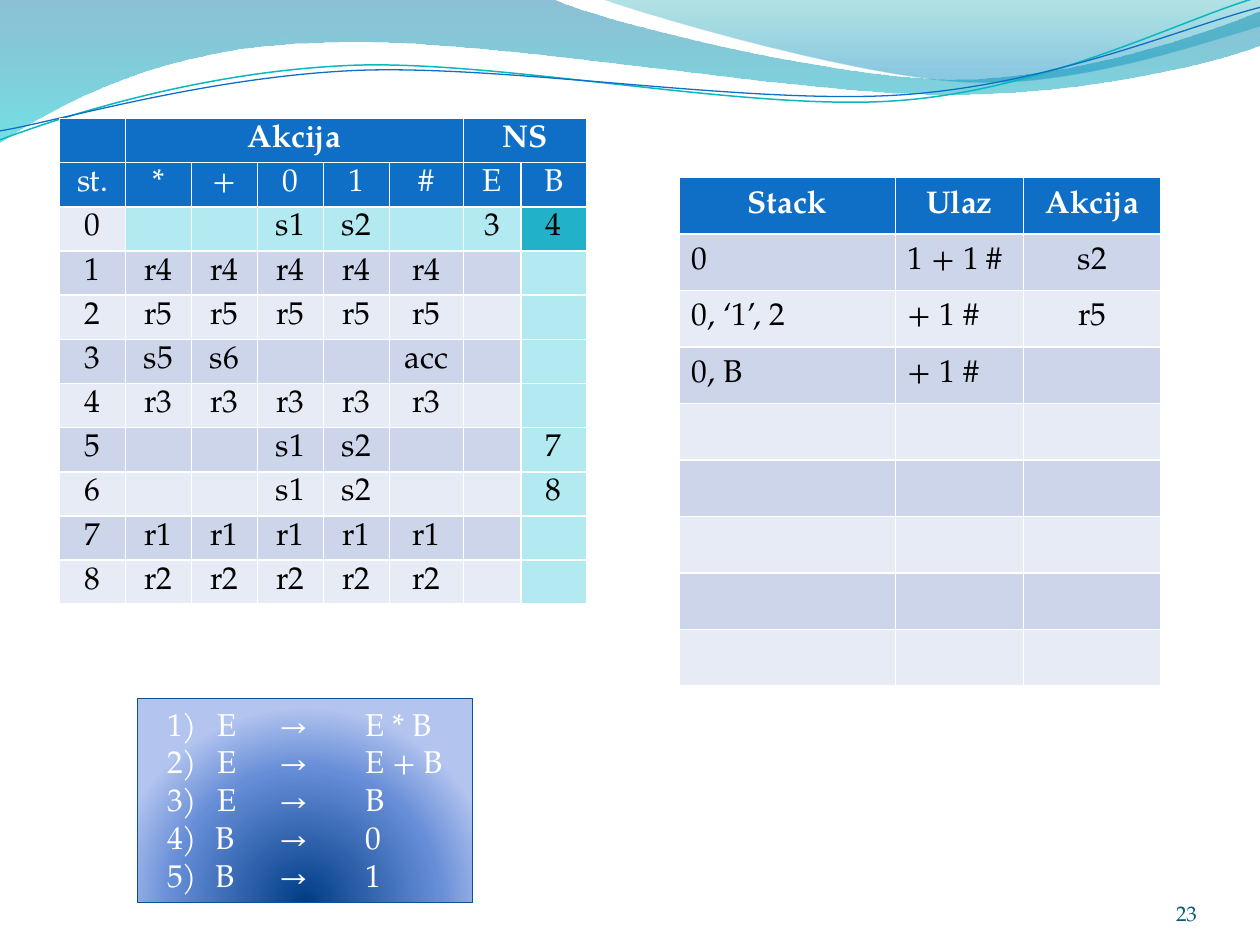
"""Build the parsing-table slide with its stack trace and grammar."""
from lxml.etree import SubElement
from pptx import Presentation
from pptx.dml.color import RGBColor
from pptx.enum.shapes import MSO_SHAPE
from pptx.enum.text import MSO_ANCHOR, PP_ALIGN
from pptx.oxml.ns import qn
from pptx.util import Cm, Pt

FONT = "TeX Gyre Pagella"
BLUE, WHITE, BLACK = "0F6FC6", "FFFFFF", "000000"
PALE, GREY, CYAN, TEAL = "E7EBF5", "CCD5EA", "B3EAF2", "21B2C9"

PARSE = [
    ["", "Akcija", "", "", "", "", "NS", ""],
    ["st.", "*", "+", "0", "1", "#", "E", "B"],
    ["0", "", "", "s1", "s2", "", "3", "4"],
    ["1"] + ["r4"] * 5 + ["", ""],
    ["2"] + ["r5"] * 5 + ["", ""],
    ["3", "s5", "s6", "", "", "acc", "", ""],
    ["4"] + ["r3"] * 5 + ["", ""],
    ["5", "", "", "s1", "s2", "", "", "7"],
    ["6", "", "", "s1", "s2", "", "", "8"],
    ["7"] + ["r1"] * 5 + ["", ""],
    ["8"] + ["r2"] * 5 + ["", ""],
]
TRACE = [
    ["Stack", "Ulaz", "Akcija"],
    ["0", "1 + 1 #", "s2"],
    ["0, ‘1’, 2", "+ 1 #", "r5"],
    ["0, B", "+ 1 #", ""],
] + [[""] * 3 for _ in range(5)]
TYPED = ["1) \tE\t→\tE * B", "2) \tE\t→ \tE + B", "3) \tE\t→ \tB"]
LISTED = ["B\t→\t0", "B\t→\t1"]
TABS = [1.02, 2.26, 3.99]

WAVES = [
    ([[(0, 0)], [(11.18, 0)],
      [(12.09, 0.43), (16.87, 1.6), (19.25, 1.6)],
      [(21.67, 1.6), (24.33, 0.66), (25.4, 0.23)], [(25.4, 0.91)],
      [(24.97, 1.12), (22.1, 1.93), (18.95, 1.9)],
      [(15.8, 1.9), (9.7, 0.71), (6.53, 0.86)],
      [(3.28, 0.91), (1.17, 2.11), (0, 2.87)], [(0, 0)]],
     [(0, "0074A1", 45), (100, "00C6CF", 55)]),
    ([[(12.17, 0)],
      [(12.93, 0.28), (17.32, 1.57), (19.53, 1.65)],
      [(21.74, 1.75), (24.41, 0.81), (25.4, 0.53)], [(25.4, 0)], [(12.17, 0)]],
     [(0, "00A1A9", 30), (80, "008BBF", 45)]),
]
LINES = [
    ([[(0, 2.82)], [(1.22, 2.36), (4.01, 1.45), (7.04, 1.32)],
      [(10.03, 1.19), (15.06, 2.26), (18.11, 2.03)],
      [(21.16, 1.8), (23.83, 0.38), (25.35, -0.05)]], "0AB8BF", 0.85),
    ([[(0, 2.64)], [(1.19, 2.44), (4.17, 1.55), (7.19, 1.42)],
      [(10.24, 1.3), (15.16, 2.13), (18.21, 1.91)],
      [(21.23, 1.7), (23.9, 0.53), (25.4, 0.15)]], BLUE, 0.75),
]


def rgb(hue):
    """Turn a hex string into a colour."""
    return RGBColor.from_string(hue)


def tag(base, name, **attrs):
    """Add a drawing element below another."""
    return SubElement(base, qn("a:" + name), {k: str(v) for k, v in attrs.items()})


def curve(slide, parts, close):
    """Draw straight and cubic parts given in centimetres."""
    dots = [(Cm(x), Cm(y)) for part in parts for x, y in part]
    pen = slide.shapes.build_freeform(*dots[0])
    pen.add_line_segments(dots[1:], close=close)
    shape = pen.convert_to_shape()
    shape.shadow.inherit = False
    legs = iter(list(shape._element.iter(qn("a:lnTo"))))
    for part in parts[1:]:
        group = [next(legs) for _ in part]
        if len(part) == 3:
            bend = group[0].makeelement(qn("a:cubicBezTo"))
            group[0].addprevious(bend)
            for leg in group:
                bend.append(leg[0])
                leg.getparent().remove(leg)
    return shape


def blend(shape, stops, focus=None):
    """Fill with a downward or circular gradient."""
    shape.fill.gradient()
    grad = shape._element.spPr.find(qn("a:gradFill"))
    for kid in list(grad):
        grad.remove(kid)
    base = tag(grad, "gsLst")
    for pos, hue, part in stops:
        stop = tag(base, "gs", pos=pos * 1000)
        shade = tag(stop, "srgbClr", val=hue)
        if part < 100:
            tag(shade, "alpha", val=part * 1000)
    if focus:
        tag(tag(grad, "path", path="circle"), "fillToRect", **focus)
    else:
        tag(grad, "lin", ang=5400000, scaled=0)


def write(par, text, hue, size=18, bold=False):
    """Add one styled run."""
    run = par.add_run()
    run.text = text
    font = run.font
    font.name, font.size, font.bold = FONT, Pt(size), bold
    font.color.rgb = rgb(hue)


def grid(slide, data, left, top, cols, high, heads, tints, lefts=()):
    """Add a banded table with blue heading rows."""
    table = slide.shapes.add_table(len(data), len(cols), Cm(left), Cm(top),
                                   Cm(sum(cols)), Cm(high * len(data))).table
    for col, wide in zip(table.columns, cols):
        col.width = Cm(wide)
    for r, texts in enumerate(data):
        table.rows[r].height = Cm(high)
        for c, text in enumerate(texts):
            cell = table.cell(r, c)
            cell.fill.solid()
            band = BLUE if r < heads else (GREY if r % 2 else PALE)
            cell.fill.fore_color.rgb = rgb(tints.get((r, c), band))
            cell.margin_top = cell.margin_bottom = Cm(0.05)
            cell.vertical_anchor = MSO_ANCHOR.MIDDLE
            par = cell.text_frame.paragraphs[0]
            if r < heads or c not in lefts:
                par.alignment = PP_ALIGN.CENTER
            if text:
                write(par, text, WHITE if r < heads else BLACK, bold=r == 0)
    return table


def stops(par, listed):
    """Set numbering and tab stops of a paragraph."""
    par.alignment = PP_ALIGN.LEFT
    props = par._p.get_or_add_pPr()
    if listed:
        props.set("marL", str(Cm(0.97)))
        props.set("indent", str(-Cm(0.97)))
        tag(props, "buFont", typeface=FONT)
        tag(props, "buAutoNum", type="arabicParenR", startAt=4)
    base = tag(props, "tabLst")
    for pos in TABS:
        tag(base, "tab", pos=Cm(pos), algn="l")


def rules(slide):
    """Add the grammar box."""
    box = slide.shapes.add_shape(MSO_SHAPE.RECTANGLE, Cm(2.77), Cm(14.08), Cm(6.76), Cm(4.11))
    box.shadow.inherit = False
    blend(box, [(0, "003D87", 100), (68, "668DD7", 100), (100, "B3C4EF", 100)],
          dict(l=50000, t=130000, r=50000, b=-30000))
    box.line.color.rgb = rgb("095295")
    box.line.width = Pt(0.75)
    frame = box.text_frame
    frame.word_wrap = True
    frame.vertical_anchor = MSO_ANCHOR.TOP
    frame.margin_left, frame.margin_right = Cm(0.6), Cm(0.1)
    par = frame.paragraphs[0]
    stops(par, False)
    for n, text in enumerate(TYPED):
        if n:
            par.add_line_break()
        write(par, text, WHITE)
    for text in LISTED:
        par = frame.add_paragraph()
        stops(par, True)
        write(par, text, WHITE)


def main():
    """Build and save the slide."""
    deck = Presentation()
    deck.slide_width, deck.slide_height = Cm(25.4), Cm(19.05)
    slide = deck.slides.add_slide(deck.slide_layouts[6])
    for parts, hues in WAVES:
        wave = curve(slide, parts, True)
        blend(wave, hues)
        wave.line.fill.background()
    for parts, hue, wide in LINES:
        line = curve(slide, parts, False)
        line.fill.background()
        line.line.color.rgb = rgb(hue)
        line.line.width = Pt(wide)
    tints = {(2, c): CYAN for c in range(1, 7)}
    tints |= {(r, 7): CYAN for r in range(3, 11)} | {(2, 7): TEAL}
    table = grid(slide, PARSE, 1.2, 2.39, [1.33] * 5 + [1.49, 1.16, 1.33], 0.89, 2, tints)
    for first, last in ((1, 5), (6, 7)):
        table.cell(0, first).merge(table.cell(0, last))
    page = slide.shapes.add_textbox(Cm(22.02), Cm(17.65), Cm(2.11), Cm(1.02)).text_frame
    page.word_wrap = True
    page.vertical_anchor = MSO_ANCHOR.BOTTOM
    page.margin_left = page.margin_right = page.margin_top = page.margin_bottom = 0
    page.paragraphs[0].alignment = PP_ALIGN.RIGHT
    write(page.paragraphs[0], "23", "045D75", 12)
    rules(slide)
    grid(slide, TRACE, 13.69, 3.58, [4.36, 2.58, 2.78], 1.14, 1, {}, (0, 1))
    deck.save("out.pptx")


if __name__ == "__main__":
    main()
